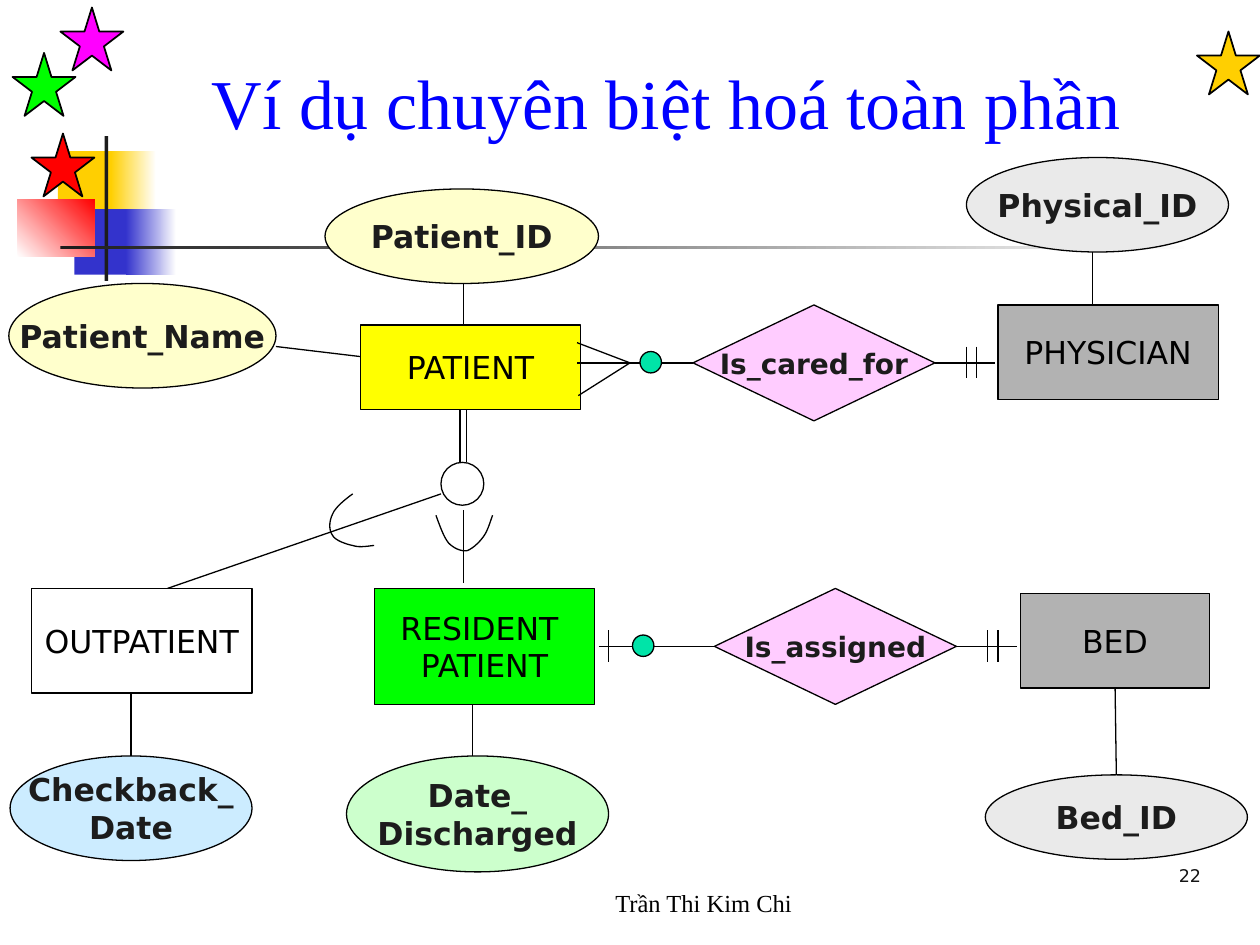
from lxml import etree
from pptx import Presentation
from pptx.dml.color import RGBColor
from pptx.enum.shapes import MSO_CONNECTOR, MSO_SHAPE
from pptx.enum.text import MSO_ANCHOR, PP_ALIGN
from pptx.oxml.ns import qn
from pptx.util import Inches, Pt

RECT, OVAL, DIAMOND, STAR = (MSO_SHAPE.RECTANGLE, MSO_SHAPE.OVAL,
                             MSO_SHAPE.DIAMOND, MSO_SHAPE.STAR_5_POINT)
STRAIGHT = MSO_CONNECTOR.STRAIGHT
MIDDLE, BOTTOM = MSO_ANCHOR.MIDDLE, MSO_ANCHOR.BOTTOM
LEFT, CENTER, RIGHT = PP_ALIGN.LEFT, PP_ALIGN.CENTER, PP_ALIGN.RIGHT
TOP_SIDE, LEFT_SIDE, BOTTOM_SIDE, RIGHT_SIDE = range(4)

COLORS = {
    "black": "000000", "white": "FFFFFF", "ink": "1C1C1C", "number": "151515",
    "title": "0000FF", "gold": "FFCF01", "indigo": "3333CC", "red": "FF0000",
    "green": "00FF00", "magenta": "FF00FF", "yellow": "FFFF00", "gray": "B2B2B2",
    "cream": "FFFFCC", "sky": "CCECFF", "mint": "CCFFCC", "silver": "EAEAEA",
    "pink": "FFCCFF", "teal": "00E4A8",
}
SANS, SERIF = "DejaVu Sans", "Times New Roman"
ENTITY = {"name": SANS, "size": Pt(18), "bold": False}
ATTRIBUTE = {"name": SANS, "size": Pt(18), "bold": True}
RELATION = {"name": SANS, "size": Pt(16), "bold": True}
TITLE = {"name": SERIF, "size": Pt(40), "bold": False}
FOOTER = {"name": SERIF, "size": Pt(14)}
NUMBER = {"name": SANS, "size": Pt(10)}


def rgb(name):
    return RGBColor.from_string(COLORS[name])


def write(frame, text, font_format, color, align=CENTER, anchor=MIDDLE, wrap=False):
    frame.text = text
    frame.word_wrap = wrap
    frame.vertical_anchor = anchor
    for paragraph in frame.paragraphs:
        paragraph.alignment = align
        font = paragraph.runs[0].font
        for attribute, value in font_format.items():
            setattr(font, attribute, value)
        font.color.rgb = rgb(color)


def shape(slide, kind, box, x, y, width, height, fill, outline=0.75):
    item = slide.shapes.add_shape(kind, Inches(box[0] + x), Inches(box[1] + y),
                                  Inches(width), Inches(height))
    item.shadow.inherit = False
    if isinstance(fill, tuple):
        start, end, angle = fill
        item.fill.gradient()
        item.fill.gradient_angle = angle
        for stop, name, position in zip(item.fill.gradient_stops, (start, end), (0, 1)):
            stop.color.rgb = rgb(name)
            stop.position = position
    else:
        item.fill.solid()
        item.fill.fore_color.rgb = rgb(fill)
    if outline:
        item.line.color.rgb = rgb("black")
        item.line.width = Pt(outline)
    else:
        item.line.fill.background()
    return item


def entity(slide, box, x, y, width, height, fill, text):
    item = shape(slide, RECT, box, x, y, width, height, fill)
    write(item.text_frame, text, ENTITY, "black")
    return item


def attribute(slide, box, x, y, width, height, fill, text):
    item = shape(slide, OVAL, box, x, y, width, height, fill)
    write(item.text_frame, text, ATTRIBUTE, "ink")
    return item


def line(owner, box, x1, y1, x2, y2, begin=None, end=None):
    item = owner.shapes.add_connector(
        STRAIGHT, Inches(box[0] + x1), Inches(box[1] + y1),
        Inches(box[0] + x2), Inches(box[1] + y2))
    item.line.color.rgb = rgb("black")
    item.line.width = Pt(0.75)
    etree.SubElement(item._element.spPr, qn("a:effectLst"))
    if begin:
        item.begin_connect(*begin)
    if end:
        item.end_connect(*end)


def curve(slide, box, start, segments, steps=8):
    points = [start]
    for controls in segments:
        corners = (points[-1],) + controls
        for step in range(1, steps + 1):
            t = step / steps
            weights = ((1 - t) ** 3, 3 * t * (1 - t) ** 2, 3 * t * t * (1 - t), t ** 3)
            points.append(tuple(sum(w * c[axis] for w, c in zip(weights, corners))
                                for axis in (0, 1)))
    places = [(Inches(box[0] + x), Inches(box[1] + y)) for x, y in points]
    builder = slide.shapes.build_freeform(*places[0])
    builder.add_line_segments(places[1:], close=False)
    arc = builder.convert_to_shape()
    arc.shadow.inherit = False
    arc.fill.background()
    arc.line.color.rgb = rgb("black")
    arc.line.width = Pt(0.75)


def ornament(slide, box):
    for x, y, width, height, fill in (
            (0.46, 1.2, 0.48, 0.52, "gold"),
            (0.88, 1.2, 0.36, 0.52, ("gold", "white", 0)),
            (0.59, 1.66, 0.46, 0.52, "indigo"),
            (1, 1.66, 0.4, 0.52, ("indigo", "white", 0)),
            (0.14, 1.58, 0.61, 0.46, ("white", "red", 45)),
            (0.83, 1.08, 0.03, 1.15, "ink"),
            (0.48, 1.95, 9, 0.03, ("ink", "white", 0))):
        shape(slide, RECT, box, x, y, width, height, fill, outline=0)
    for x, y, fill in ((9.5, 0.25, "gold"), (0.25, 1.06, "red"),
                       (0.1, 0.42, "green"), (0.48, 0.06, "magenta")):
        shape(slide, STAR, box, x, y, 0.5, 0.5, fill, outline=1)


def heading(slide, box):
    title = slide.shapes.title
    title.left, title.top, title.width, title.height = (Inches(v) for v in box)
    write(title.text_frame, "Ví dụ chuyên biệt hoá toàn phần", TITLE, "title",
          LEFT, BOTTOM, True)


def caption(slide, box, text, font_format, color, align):
    note = slide.shapes.add_textbox(*(Inches(v) for v in box))
    write(note.text_frame, text, font_format, color, align, BOTTOM, True)


def patient(slide, box):
    entity(slide, box, 2.86, 1.08, 1.75, 0.67, "yellow", "PATIENT")
    attribute(slide, box, 2.58, 0, 2.17, 0.75, "cream", "Patient_ID")
    attribute(slide, box, 0.07, 0.75, 2.12, 0.83, "cream", "Patient_Name")
    line(slide, box, 3.68, 0.75, 3.68, 1.08)
    line(slide, box, 2.19, 1.25, 2.86, 1.33)


def specialization(slide, box):
    shape(slide, OVAL, box, 3.5, 0.42, 0.34, 0.34, "white")
    for x in (3.65, 3.7):
        line(slide, box, x, 0, x, 0.42)
    line(slide, box, 3.5, 0.67, 1.33, 1.42)
    line(slide, box, 3.68, 0.8, 3.68, 1.38)
    curve(slide, box, (2.8, 0.67), (
        ((2.73, 0.72), (2.66, 0.78), (2.64, 0.83)),
        ((2.61, 0.89), (2.61, 0.96), (2.64, 1)),
        ((2.66, 1.04), (2.75, 1.07), (2.8, 1.08)),
        ((2.86, 1.1), (2.94, 1.08), (2.97, 1.08))))
    curve(slide, box, (3.46, 0.84), (
        ((3.49, 0.92), (3.52, 1.01), (3.56, 1.06)),
        ((3.6, 1.1), (3.66, 1.13), (3.71, 1.12)),
        ((3.76, 1.1), (3.82, 1.04), (3.85, 0.99)),
        ((3.88, 0.94), (3.9, 0.86), (3.91, 0.84))))


def subtypes(slide, box):
    entity(slide, box, 0.25, 0, 1.75, 0.83, "white", "OUTPATIENT")
    entity(slide, box, 2.97, 0, 1.75, 0.92, "green", "RESIDENT \nPATIENT")
    checkback = attribute(slide, box, 0.08, 1.33, 1.92, 0.83, "sky", "Checkback_\nDate")
    attribute(slide, box, 2.75, 1.33, 2.08, 0.92, "mint", "Date_\nDischarged")
    line(slide, box, 1.04, 0.83, 1.04, 1.33, end=(checkback, TOP_SIDE))
    line(slide, box, 3.75, 0.92, 3.75, 1.33)


def relationship(slide, box, text, reach, dot):
    diamond = shape(slide, DIAMOND, box, 0, 0, 1.92, 0.92, "pink")
    write(diamond.text_frame, text, RELATION, "ink")
    line(slide, box, -reach, 0.46, 0, 0.46, end=(diamond, LEFT_SIDE))
    line(slide, box, 1.92, 0.46, 2.4, 0.46, begin=(diamond, RIGHT_SIDE))
    for x in (2.17, 2.25):
        line(slide, box, x, 0.33, x, 0.58)
    shape(slide, OVAL, box, dot, 0.37, 0.17, 0.17, "teal")


def care(slide, box):
    entity(slide, box, 3.34, 1.17, 1.75, 0.75, "gray", "PHYSICIAN")
    attribute(slide, box, 3.09, 0, 2.08, 0.75, "silver", "Physical_ID")
    line(slide, box, 4.09, 0.75, 4.09, 1.17)
    relationship(slide, (box[0] + 0.92, box[1] + 1.17), "Is_cared_for", 0.92, -0.42)
    crow_foot = slide.shapes.add_group_shape()
    for x, y in ((0, 1.47), (0.18, 1.63), (0.01, 1.89)):
        line(crow_foot, box, 0.42, 1.63, x, y)


def stay(slide, box):
    bed = entity(slide, box, 3.35, 0.04, 1.5, 0.75, "gray", "BED")
    bed_id = attribute(slide, box, 3.07, 1.48, 2.08, 0.67, "silver", "Bed_ID")
    line(slide, box, 4.1, 0.79, 4.1, 1.48, (bed, BOTTOM_SIDE), (bed_id, TOP_SIDE))
    relationship(slide, (box[0] + 0.92, box[1]), "Is_assigned", 0.92, -0.65)
    line(slide, box, 0.08, 0.33, 0.08, 0.58)


def main():
    deck = Presentation()
    deck.slide_width, deck.slide_height = Inches(10), Inches(7.5)
    slide = deck.slides.add_slide(deck.slide_layouts[5])
    ornament(slide, (0, 0))
    heading(slide, (1.58, 0.33, 9, 0.86))
    patient(slide, (0, 1.5))
    specialization(slide, (0, 3.25))
    subtypes(slide, (0, 4.67))
    care(slide, (4.58, 1.25))
    stay(slide, (4.75, 4.67))
    caption(slide, (9.13, 6.68, 0.5, 0.4), "22", NUMBER, "number", RIGHT)
    caption(slide, (4, 6.83, 3.17, 0.5), "Trần Thi Kim Chi", FOOTER, "black", CENTER)
    deck.save("out.pptx")


if __name__ == "__main__":
    main()
